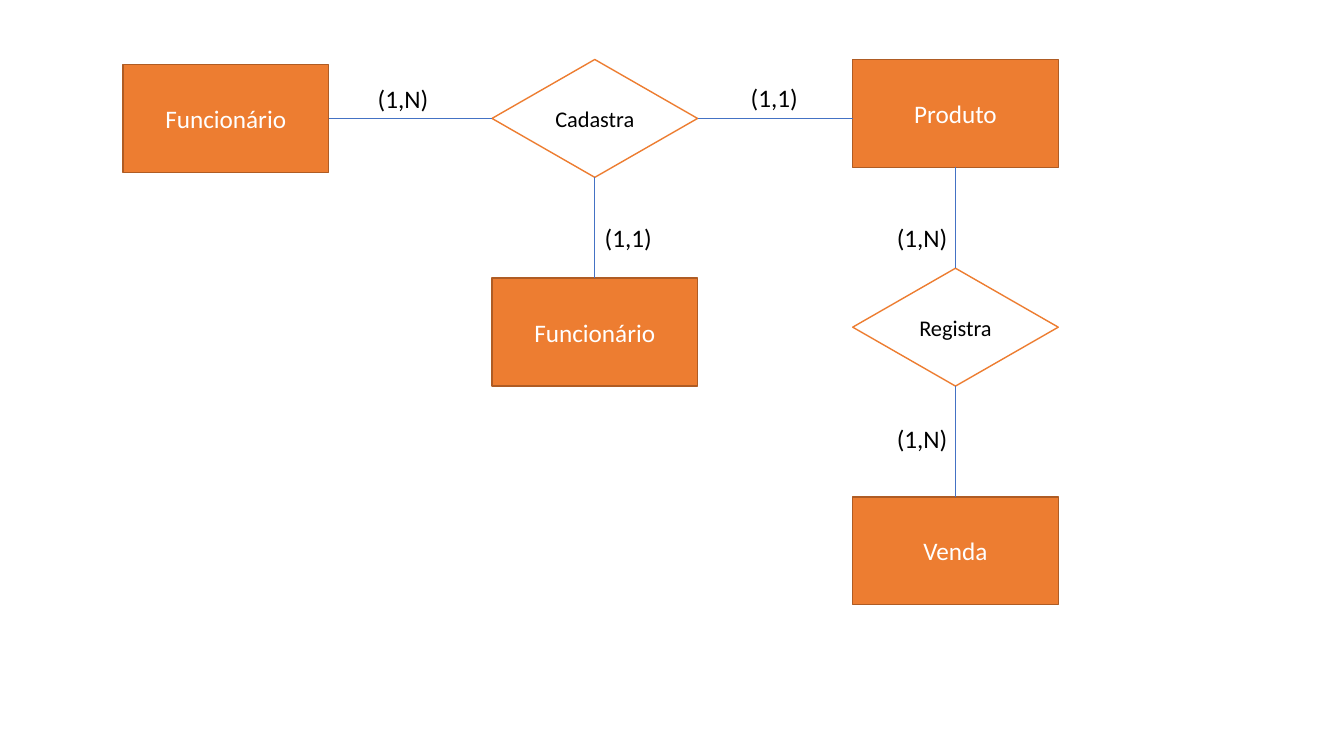
from pptx import Presentation
from pptx.dml.color import RGBColor
from pptx.enum.shapes import MSO_CONNECTOR, MSO_SHAPE
from pptx.enum.text import MSO_ANCHOR, MSO_AUTO_SIZE, PP_ALIGN
from pptx.oxml.ns import qn
from pptx.util import Cm, Pt
from lxml.etree import SubElement


def color(value):
    return RGBColor.from_string(value)


def write(frame, wording, size, ink):
    run = frame.paragraphs[0].add_run()
    run.text = wording
    run.font.name = "Calibri"
    run.font.size = Pt(size)
    run.font.color.rgb = color(ink)


presentation = Presentation()
presentation.slide_width = Cm(33.87)
presentation.slide_height = Cm(19.05)
slide = presentation.slides.add_slide(presentation.slide_layouts[6])

LEFT, MIDDLE, RIGHT = 3.1, 12.4, 21.49
NODE_WIDTH = 5.18
TOP, BOTTOM_SITE, LEFT_SITE, RIGHT_SITE = 0, 2, 1, 3

entity = (MSO_SHAPE.RECTANGLE, 2.72, "ED7D31", "AF5C24", 18, "FFFFFF")
relationship = (MSO_SHAPE.FLOWCHART_DECISION, 2.97, "FFFFFF", "ED7D31", 16, "000000")

nodes = {}
for key, wording, style, left, top in [
    ("employee", "Funcionário", entity, LEFT, 1.63),
    ("registers", "Cadastra", relationship, MIDDLE, 1.5),
    ("product", "Produto", entity, RIGHT, 1.5),
    ("records", "Registra", relationship, RIGHT, 6.76),
    ("sale", "Venda", entity, RIGHT, 12.52),
    ("registered employee", "Funcionário", entity, MIDDLE, 7.01),
]:
    geometry, height, fill, outline, size, ink = style
    node = slide.shapes.add_shape(geometry, Cm(left), Cm(top), Cm(NODE_WIDTH), Cm(height))
    node.shadow.inherit = False
    node.fill.solid()
    node.fill.fore_color.rgb = color(fill)
    node.line.color.rgb = color(outline)
    node.line.width = Pt(1)
    frame = node.text_frame
    frame.margin_left = frame.margin_right = 0
    frame.vertical_anchor = MSO_ANCHOR.MIDDLE
    frame.paragraphs[0].alignment = PP_ALIGN.CENTER
    write(frame, wording, size, ink)
    nodes[key] = node

for start, start_site, end, end_site in [
    ("registers", LEFT_SITE, "employee", RIGHT_SITE),
    ("registers", RIGHT_SITE, "product", LEFT_SITE),
    ("registers", BOTTOM_SITE, "registered employee", TOP),
    ("records", TOP, "product", BOTTOM_SITE),
    ("records", BOTTOM_SITE, "sale", TOP),
]:
    link = slide.shapes.add_connector(MSO_CONNECTOR.STRAIGHT, 0, 0, 0, 0)
    link.begin_connect(nodes[start], start_site)
    link.end_connect(nodes[end], end_site)
    if start_site in (LEFT_SITE, RIGHT_SITE):
        link.end_y = link.begin_y
    link.line.color.rgb = color("4472C4")
    link.line.width = Pt(0.5)
    SubElement(link._element.spPr, qn("a:effectLst"))

for wording, left, top, width in [
    ("(1,N)", 9.27, 1.98, 1.8),
    ("(1,1)", 18.67, 1.95, 1.73),
    ("(1,1)", 14.99, 5.49, 1.73),
    ("(1,N)", 22.35, 5.49, 1.8),
    ("(1,N)", 22.35, 10.54, 1.8),
]:
    cardinality = slide.shapes.add_textbox(Cm(left), Cm(top), Cm(width), Cm(1.02))
    frame = cardinality.text_frame
    frame.word_wrap = False
    frame.auto_size = MSO_AUTO_SIZE.SHAPE_TO_FIT_TEXT
    write(frame, wording, 18, "000000")

presentation.save("out.pptx")
